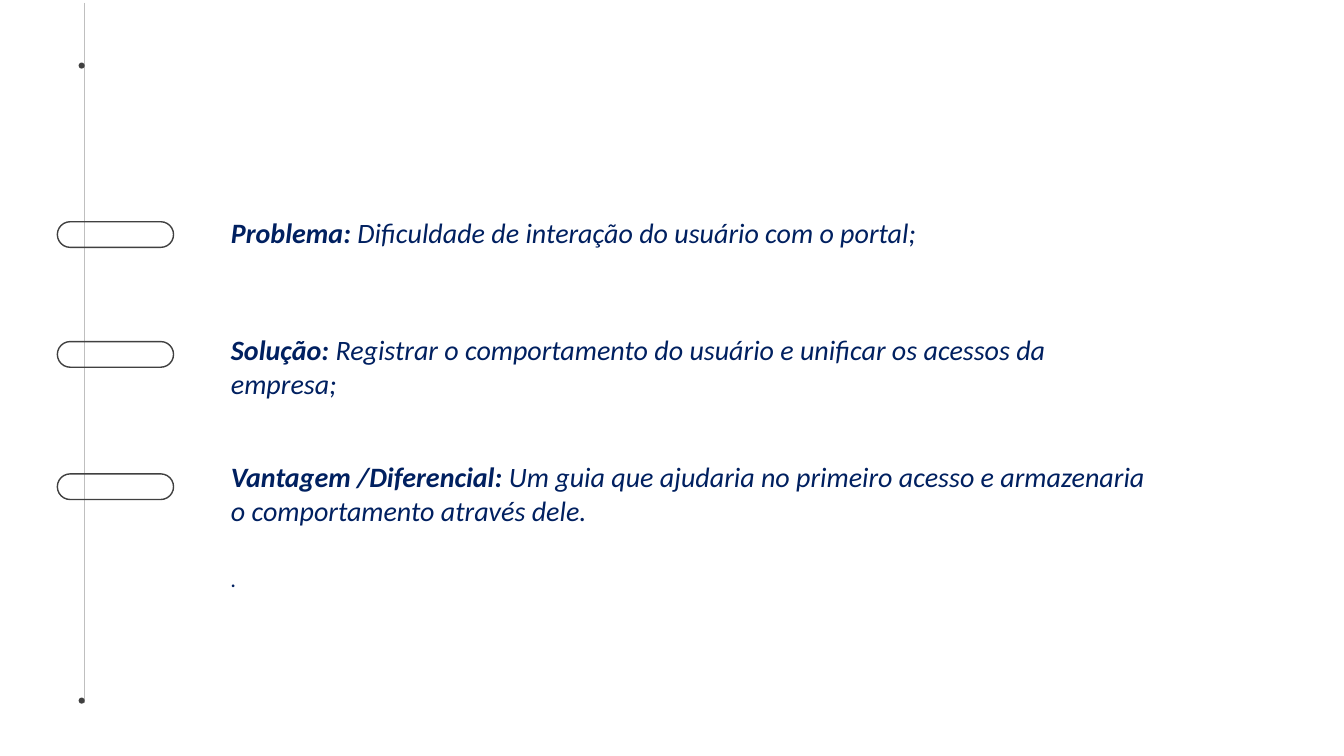
from pptx import Presentation
from pptx.util import Pt
from pptx.dml.color import RGBColor
from pptx.enum.shapes import MSO_SHAPE, MSO_CONNECTOR
from pptx.oxml.ns import qn
from lxml import etree

NAVY = RGBColor(0x00, 0x20, 0x60)
DARK = RGBColor(0x40, 0x40, 0x40)
GREY = RGBColor(0xBF, 0xBF, 0xBF)

deck = Presentation()
deck.slide_width, deck.slide_height = Pt(960), Pt(540)
slide = deck.slides.add_slide(deck.slide_layouts[6])
shapes = slide.shapes


def add_text(top, high, size, runs):
    box = shapes.add_textbox(Pt(165), Pt(top), Pt(659.5), Pt(high))
    frame = box.text_frame
    frame.word_wrap = True
    frame.margin_left = frame.margin_right = 0
    frame.margin_top = frame.margin_bottom = 0
    for text, bold in runs:
        run = frame.paragraphs[0].add_run()
        run.text = text
        font = run.font
        font.name, font.size = "Calibri", Pt(size)
        font.bold, font.italic = bold, True
        font.color.rgb = NAVY


# Timeline
line = shapes.add_connector(MSO_CONNECTOR.STRAIGHT, Pt(60.5), Pt(2), Pt(60.5), Pt(502.5))
line.line.color.rgb = GREY
line.line.width = Pt(0.5)
etree.SubElement(line._element.spPr, qn("a:effectLst"))

# Topics: pill top, text top, text height, label, detail
topics = [
    (158.4, 154, 48, "Problema: ",
     "Dificuldade de interação do usuário com o portal;"),
    (244, 237.5, 48, "Solução: ",
     "Registrar o comportamento do usuário e unificar os acessos da empresa;"),
    (338.5, 328.5, 48, "Vantagem /Diferencial: ",
     "Um guia que ajudaria no primeiro acesso e armazenaria o comportamento através dele."),
]
for mark, top, high, label, detail in topics:
    pill = shapes.add_shape(MSO_SHAPE.ROUNDED_RECTANGLE, Pt(41), Pt(mark), Pt(83), Pt(18.3))
    pill.adjustments[0] = 0.5
    pill.shadow.inherit = False
    pill.fill.background()
    pill.line.color.rgb = DARK
    pill.line.width = Pt(1)
    add_text(top, high, 20, [(label, True), (detail, False)])

# Closing mark
add_text(404, 19.5, 16, [(".", False)])

# Timeline end dots
for top in (498.3, 44.7):
    dot = shapes.add_shape(MSO_SHAPE.OVAL, Pt(56.2), Pt(top), Pt(4.3), Pt(4.3))
    dot.shadow.inherit = False
    dot.fill.solid()
    dot.fill.fore_color.rgb = DARK
    dot.line.fill.background()

deck.save("out.pptx")
